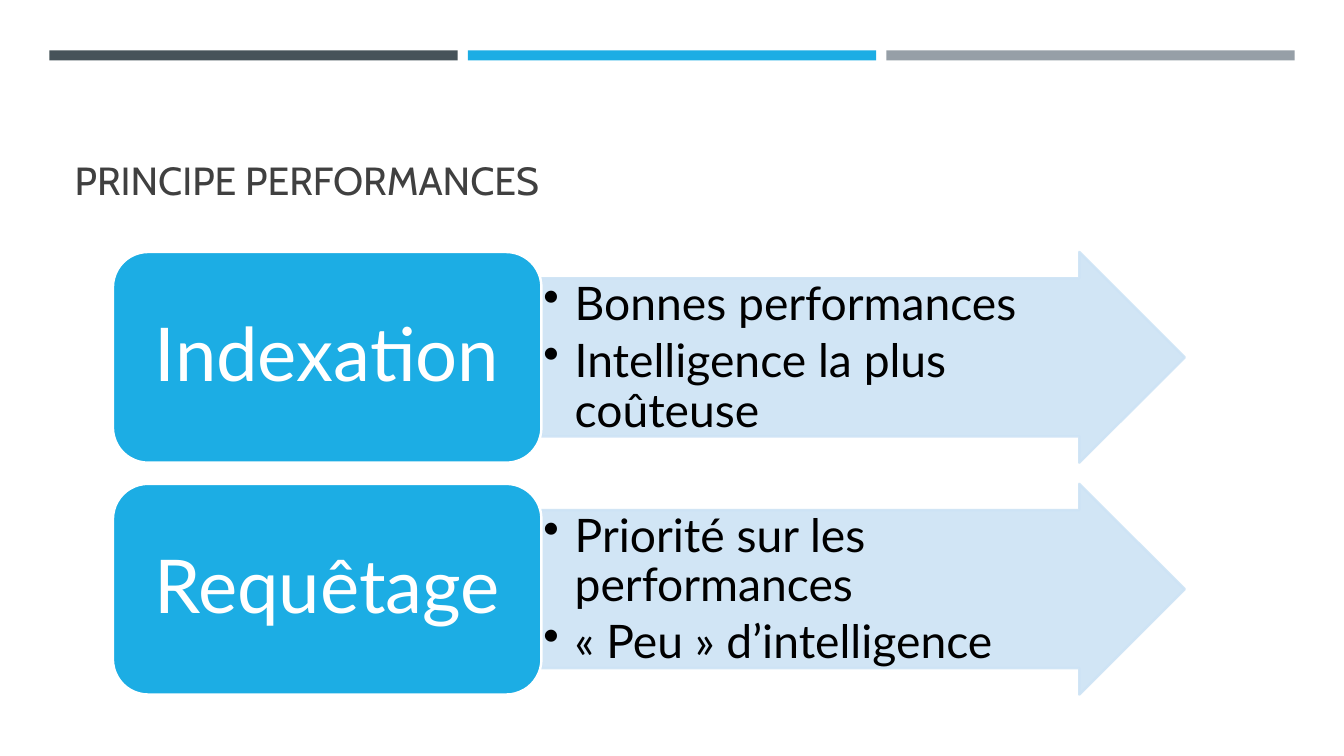
from lxml import etree
from pptx import Presentation
from pptx.dml.color import RGBColor
from pptx.enum.shapes import MSO_SHAPE
from pptx.enum.text import MSO_ANCHOR, MSO_AUTO_SIZE, PP_ALIGN
from pptx.oxml.ns import qn
from pptx.util import Inches, Pt

RECTANGLE = MSO_SHAPE.RECTANGLE
ROUNDED = MSO_SHAPE.ROUNDED_RECTANGLE
ARROW = MSO_SHAPE.RIGHT_ARROW
TOP, MIDDLE, BOTTOM = MSO_ANCHOR.TOP, MSO_ANCHOR.MIDDLE, MSO_ANCHOR.BOTTOM
LEFT, CENTER = PP_ALIGN.LEFT, PP_ALIGN.CENTER
NO_AUTOFIT = MSO_AUTO_SIZE.NONE

COLORS = {
    "slate": "465359",
    "blue": "1CADE4",
    "gray": "969FA7",
    "pale": "CDE3F5",
    "title": "404040",
    "black": "000000",
    "white": "FFFFFF",
}
TITLE_FONT = "Cabin"
BODY_FONT = "Lato"

BAR_LEFT, BAR_PITCH = 0.49, 4.15
ROW_TOP, ROW_PITCH, ROW_HEIGHT = 2.5, 2.3, 2.09
LABEL_LEFT, LABEL_WIDTH, ARROW_WIDTH = 1.12, 4.25, 6.38

ROWS = [
    ("Indexation", ["Bonnes performances", "Intelligence la plus coûteuse"]),
    ("Requêtage", ["Priorité sur les performances", "« Peu » d’intelligence"]),
]


class SlideBuilder:
    def __init__(self, deck):
        self.slide = deck.slides.add_slide(deck.slide_layouts[5])

    def color(self, name):
        return RGBColor.from_string(COLORS[name])

    def set_alpha(self, fill_parent, percent):
        color = fill_parent.find(qn("a:solidFill"))[0]
        etree.SubElement(color, qn("a:alpha")).set("val", str(percent * 1000))

    def span(self, para, text, font, size, color):
        span = para.add_run()
        span.text = text
        span.font.name = font
        span.font.size = Pt(size)
        span.font.color.rgb = self.color(color)

    def frame(self, box, anchor, horizontal, vertical):
        frame = box.text_frame
        frame.word_wrap = True
        frame.auto_size = NO_AUTOFIT
        frame.vertical_anchor = anchor
        frame.margin_left = frame.margin_right = Inches(horizontal)
        frame.margin_top = frame.margin_bottom = Inches(vertical)
        return frame

    def title(self, text):
        box = self.slide.shapes.title
        box.left, box.top = Inches(0.64), Inches(0.77)
        box.width, box.height = Inches(12.06), Inches(1.3)
        para = self.frame(box, BOTTOM, 0.1, 0.05).paragraphs[0]
        para.alignment = LEFT
        self.span(para, text, TITLE_FONT, 28, "title")

    def shape(self, kind, left, top, width, height, fill, line=None):
        box = self.slide.shapes.add_shape(
            kind, Inches(left), Inches(top), Inches(width), Inches(height))
        box.shadow.inherit = False
        box.fill.solid()
        box.fill.fore_color.rgb = self.color(fill)
        if line:
            box.line.color.rgb = self.color(line)
            box.line.width = Pt(1.75)
        else:
            box.line.fill.background()
        return box

    def bar(self, left, color):
        self.shape(RECTANGLE, left, 0.5, 4.05, 0.1, color)

    def label(self, top, text):
        box = self.shape(ROUNDED, LABEL_LEFT, top, LABEL_WIDTH, ROW_HEIGHT, "blue", "white")
        para = self.frame(box, MIDDLE, 0.22, 0.11).paragraphs[0]
        para.alignment = CENTER
        para.line_spacing = 0.9
        self.span(para, text, BODY_FONT, 53, "white")

    def arrow(self, top, items):
        box = self.shape(ARROW, LABEL_LEFT + LABEL_WIDTH, top, ARROW_WIDTH, ROW_HEIGHT,
                         "pale", "pale")
        box.adjustments[0] = 0.75
        box.adjustments[1] = 0.5
        properties = box.fill._xPr
        self.set_alpha(properties, 90)
        self.set_alpha(properties.find(qn("a:ln")), 90)
        frame = self.frame(box, TOP, 0.02, 0.02)
        for index, item in enumerate(items):
            para = frame.add_paragraph() if index else frame.paragraphs[0]
            self.bullet(para)
            self.span(para, item, BODY_FONT, 33, "black")

    def bullet(self, para):
        para.alignment = LEFT
        para.line_spacing = 0.9
        para.space_after = Pt(5)
        properties = para._p.get_or_add_pPr()
        properties.set("marL", str(Inches(0.31)))
        properties.set("indent", str(Inches(-0.31)))
        etree.SubElement(properties, qn("a:buChar")).set("char", "•")


def main():
    deck = Presentation()
    deck.slide_width, deck.slide_height = Inches(13.33), Inches(7.5)
    page = SlideBuilder(deck)
    for index, color in enumerate(["slate", "blue", "gray"]):
        page.bar(BAR_LEFT + index * BAR_PITCH, color)
    page.title("PRINCIPE PERFORMANCES")
    for index, (name, items) in enumerate(ROWS):
        top = ROW_TOP + index * ROW_PITCH
        page.arrow(top, items)
        page.label(top, name)
    deck.save("out.pptx")


if __name__ == "__main__":
    main()
